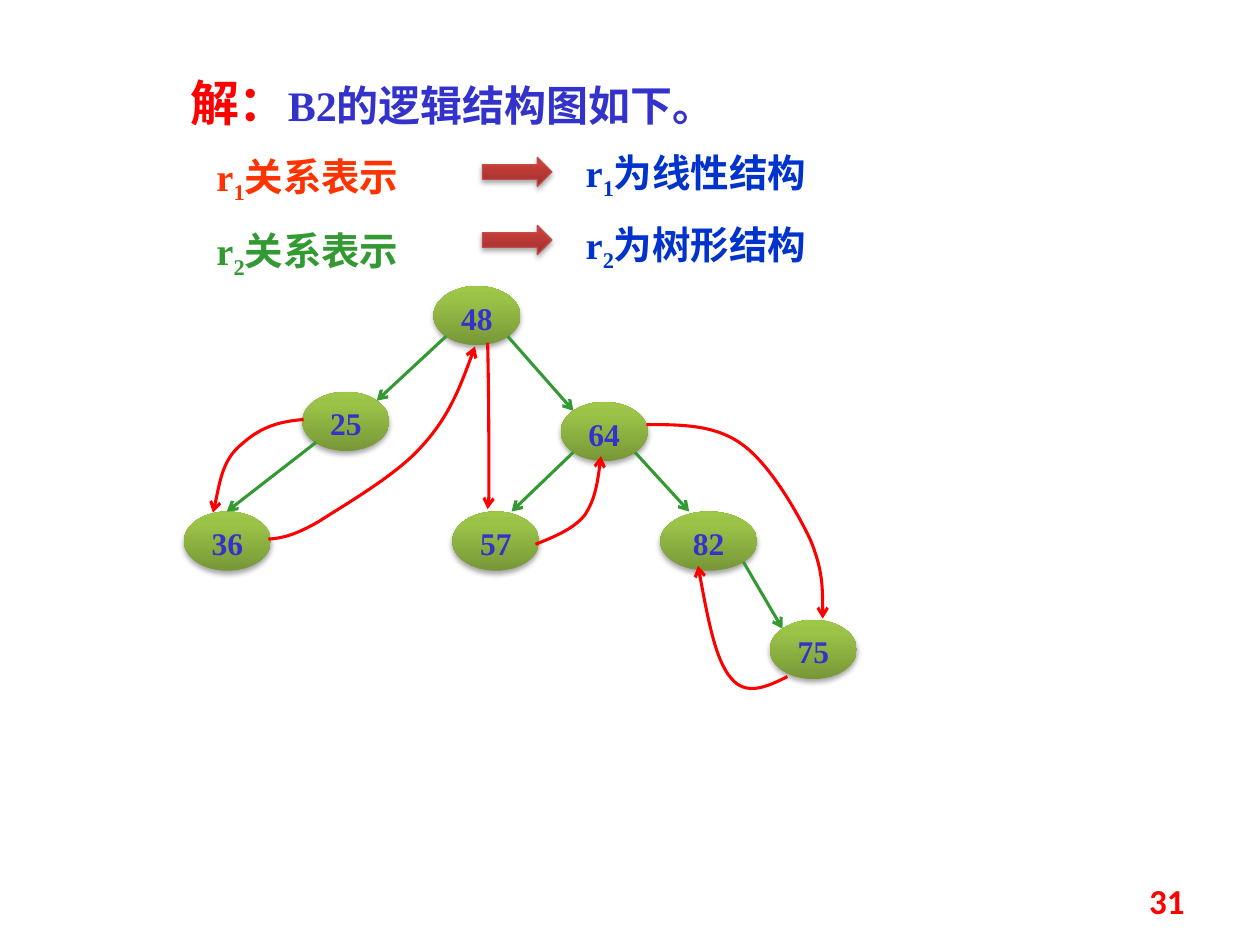
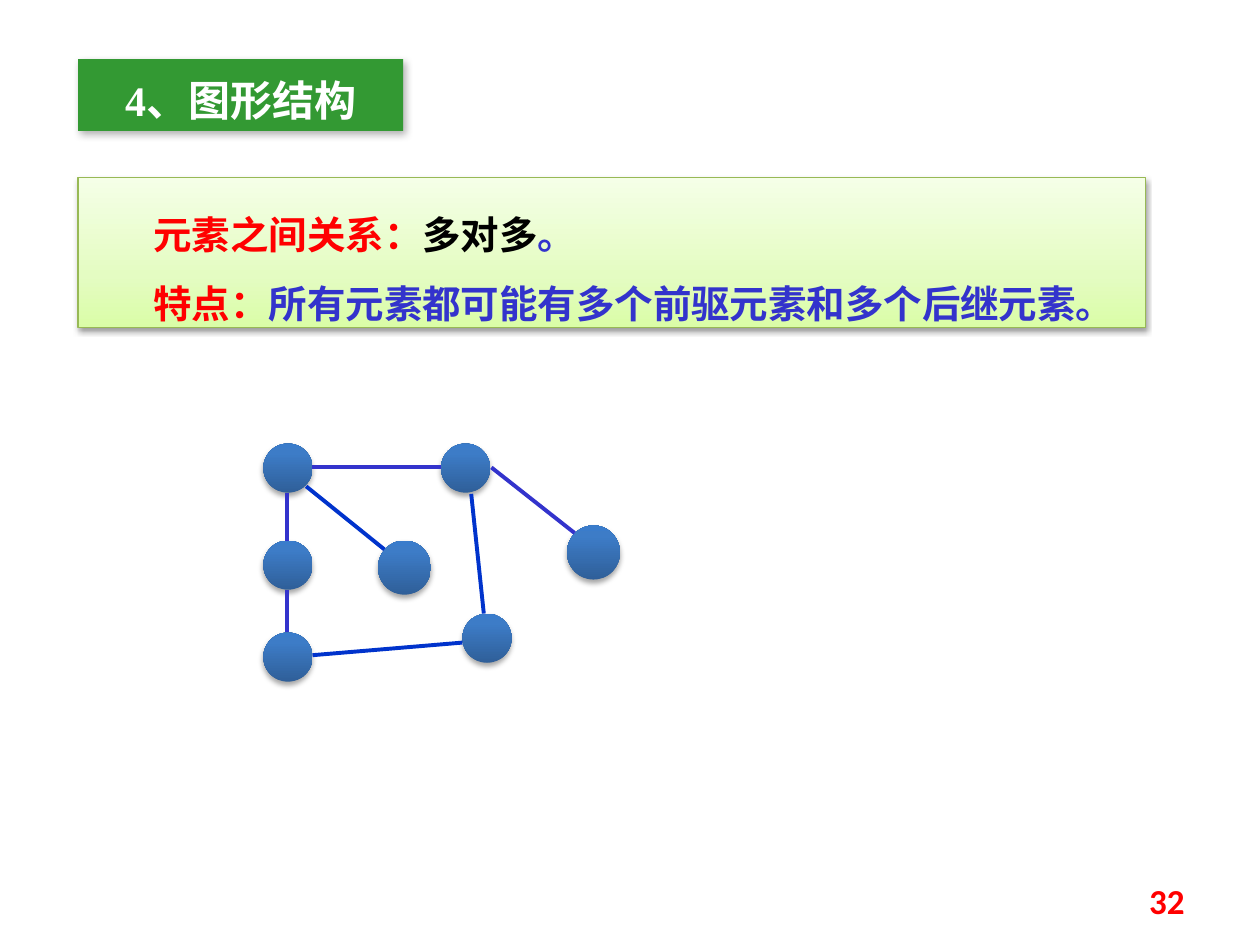
from dataclasses import dataclass
from typing import NamedTuple, Optional

from lxml.etree import SubElement
from pptx import Presentation
from pptx.dml.color import RGBColor
from pptx.enum.shapes import MSO_CONNECTOR, MSO_SHAPE
from pptx.enum.text import MSO_ANCHOR as Anchor, PP_ALIGN as Align
from pptx.oxml.ns import qn
from pptx.util import Inches, Pt

RED = RGBColor(0xFF, 0x00, 0x00)
ORANGE = RGBColor(0xFF, 0x33, 0x00)
GREEN = RGBColor(0x33, 0x99, 0x33)
INDIGO = RGBColor(0x33, 0x33, 0xCC)
BLUE = RGBColor(0x00, 0x33, 0xCC)
BLACK = RGBColor(0x00, 0x00, 0x00)
WHITE = RGBColor(0xFF, 0xFF, 0xFF)
ARROW_BORDER = RGBColor(0xBF, 0x4C, 0x48)
PANEL_BORDER = RGBColor(0x98, 0xB9, 0x55)
SERIF = "Times New Roman"
SANS = "Calibri"

Gradient = tuple[tuple[int, str], ...]
Point = tuple[float, float]
GREEN_GRADIENT: Gradient = ((0, "779737"), (80, "9BC348"), (100, "9DC746"))
RED_GRADIENT: Gradient = ((0, "9C2F2D"), (80, "CB3E3A"), (100, "CE3B37"))
BLUE_GRADIENT: Gradient = ((0, "2F5F99"), (80, "3D7CC7"), (100, "3A7CCB"))
LIME_GRADIENT: Gradient = ((0, "DAFDA7"), (35, "E4FCC2"), (100, "F5FFE7"))


class Box(NamedTuple):
    """Position and size in inches."""
    left: float
    top: float
    width: float
    height: float


class Shadow(NamedTuple):
    """Outer shadow: opacity in percent, lengths in points, angle in degrees."""
    opacity: int
    blur: float
    distance: float
    angle: int


class Edge(NamedTuple):
    """Straight line between two points."""
    start: Point
    end: Point
    color: RGBColor


@dataclass(frozen=True)
class TextRun:
    """Piece of text in one format."""
    text: str
    color: RGBColor
    size: float = 22
    font: str = SERIF
    bold: bool = True
    baseline: int = 0


@dataclass(frozen=True)
class TextStyle:
    """Paragraph and frame settings of a text."""
    align: Align = Align.LEFT
    anchor: Anchor = Anchor.TOP
    spacing: float = 0.8
    indent: float = 0
    insets: Box = Box(0.1, 0.05, 0.1, 0.05)


@dataclass(frozen=True)
class Relation:
    """Row that names a relation and its structure."""
    index: str
    color: RGBColor
    label_top: float
    arrow_top: float
    result_top: float
    result: str


SOFT = Shadow(35, 3.1, 1.8, 90)
PANEL_SHADOW = Shadow(38, 3.1, 1.6, 90)
TITLE_SHADOW = Shadow(30, 4.5, 2.6, 53)
DEFAULT = TextStyle()
LABEL = TextStyle(insets=Box(0.1, 0.08, 0.1, 0))
NODE = TextStyle(Align.CENTER, Anchor.MIDDLE, 1.1, insets=Box(0, 0, 0, 0))
PANEL = TextStyle(Align.JUSTIFY, spacing=1.5, indent=0.5, insets=Box(0.1, 0.08, 0.1, 0))
TITLE = TextStyle(Align.CENTER, spacing=1, insets=Box(0.1, 0.12, 0.1, 0.05))
NUMBER = TextStyle(Align.RIGHT, Anchor.MIDDLE, 1)

RELATIONS = [
    Relation("1", ORANGE, 1.17, 1.25, 1.17, "为线性结构"),
    Relation("2", GREEN, 1.76, 1.79, 1.74, "为树形结构"),
]
TREE_NODES = {
    "48": Box(3.44, 2.27, 0.69, 0.47),
    "25": Box(2.4, 3.11, 0.69, 0.47),
    "36": Box(1.46, 4.06, 0.69, 0.47),
    "64": Box(4.45, 3.19, 0.69, 0.47),
    "57": Box(3.59, 4.06, 0.69, 0.47),
    "82": Box(5.24, 4.06, 0.77, 0.47),
    "75": Box(6.11, 4.92, 0.69, 0.47),
}
TREE_EDGES = [
    Edge((3.54, 2.67), (2.99, 3.18), GREEN),
    Edge((2.51, 3.51), (1.8, 4.06), GREEN),
    Edge((4.03, 2.67), (4.55, 3.26), GREEN),
    Edge((5.04, 3.59), (5.47, 4.06), GREEN),
    Edge((4.55, 3.59), (4.06, 4.06), GREEN),
    Edge((5.9, 4.46), (6.21, 4.99), GREEN),
]
ORDER_CURVES: list[list[Point]] = [
    [(2.41, 3.33), (2.13, 3.35), (2.01, 3.44), (1.88, 3.56),
     (1.76, 3.68), (1.72, 3.96), (1.69, 4.07)],
    [(2.13, 4.28), (2.23, 4.27), (2.32, 4.26), (2.53, 4.14), (2.73, 4.01),
     (3.15, 3.77), (3.35, 3.54), (3.56, 3.31), (3.67, 3.03), (3.77, 2.75)],
    [(3.87, 2.72), (3.88, 3.14), (3.88, 3.56), (3.88, 3.78),
     (3.88, 4), (3.88, 4.02), (3.87, 4.04)],
    [(4.25, 4.32), (4.4, 4.26), (4.55, 4.2), (4.64, 4.09),
     (4.72, 3.97), (4.75, 3.79), (4.77, 3.62)],
    [(6.25, 5.37), (6.09, 5.45), (5.92, 5.53), (5.8, 5.38),
     (5.68, 5.24), (5.61, 4.87), (5.54, 4.49)],
    [(5.13, 3.37), (5.4, 3.37), (5.67, 3.37), (5.88, 3.52), (6.1, 3.67),
     (6.32, 4.05), (6.43, 4.28), (6.53, 4.52), (6.53, 4.72), (6.53, 4.91)],
]
SMALL, LARGE = (0.39, 0.39), (0.42, 0.43)
GRAPH_NODES = [
    Box(2.09, 3.52, *SMALL), Box(3.5, 3.52, *SMALL), Box(2.09, 4.29, *SMALL),
    Box(3, 4.29, *LARGE), Box(3.67, 4.87, *SMALL), Box(2.09, 5.02, *SMALL),
    Box(4.5, 4.17, *LARGE),
]
GRAPH_EDGES = [
    Edge((2.43, 3.86), (3.05, 4.36), BLUE),
    Edge((2.48, 5.2), (3.67, 5.1), BLUE),
    Edge((3.74, 3.92), (3.84, 4.87), BLUE),
    Edge((2.28, 3.91), (2.28, 4.29), INDIGO),
    Edge((2.28, 4.68), (2.28, 5.02), INDIGO),
    Edge((3.9, 3.71), (4.56, 4.23), INDIGO),
    Edge((2.48, 3.71), (3.5, 3.71), INDIGO),
]


def write_text(shape, paragraphs: list[list[TextRun]], style: TextStyle) -> None:
    """Fill a shape with formatted paragraphs."""
    frame = shape.text_frame
    frame.word_wrap = True
    frame.vertical_anchor = style.anchor
    (frame.margin_left, frame.margin_top,
     frame.margin_right, frame.margin_bottom) = map(Inches, style.insets)
    for number, runs in enumerate(paragraphs):
        paragraph = frame.add_paragraph() if number else frame.paragraphs[0]
        paragraph.alignment = style.align
        paragraph.line_spacing = style.spacing
        if style.indent:
            paragraph._p.get_or_add_pPr().set("indent", str(Inches(style.indent)))
        for part in runs:
            run = paragraph.add_run()
            run.text = part.text
            run.font.name = part.font
            run.font.size = Pt(part.size)
            run.font.bold = part.bold
            run.font.color.rgb = part.color
            if part.baseline:
                run.font._element.set("baseline", str(part.baseline * 1000))


def add_text(slide, box: Box, runs: list[TextRun], style: TextStyle = DEFAULT) -> None:
    """Add a text box with one paragraph."""
    write_text(slide.shapes.add_textbox(*map(Inches, box)), [runs], style)


def set_shadow(shape, shadow: Shadow) -> None:
    """Give a shape a black outer shadow."""
    shape.shadow.inherit = False
    effects = shape._element.spPr.find(qn("a:effectLst"))
    outer = SubElement(effects, qn("a:outerShdw"), blurRad=str(Pt(shadow.blur)),
                       dist=str(Pt(shadow.distance)), dir=str(shadow.angle * 60000),
                       rotWithShape="0")
    color = SubElement(outer, qn("a:srgbClr"), val="000000")
    SubElement(color, qn("a:alpha"), val=str(shadow.opacity * 1000))


def set_gradient(shape, gradient: Gradient) -> None:
    """Fill a shape with a gradient that runs from bottom to top."""
    shape.fill.gradient()
    shape.fill.gradient_angle = 90
    stops = shape._element.spPr.find(qn("a:gradFill")).find(qn("a:gsLst"))
    for stop in list(stops):
        stops.remove(stop)
    for position, color in gradient:
        stop = SubElement(stops, qn("a:gs"), pos=str(position * 1000))
        SubElement(stop, qn("a:srgbClr"), val=color)


def add_block(slide, kind: MSO_SHAPE, box: Box, fill: Gradient | RGBColor,
              border: Optional[RGBColor] = None, shadow: Shadow = SOFT):
    """Add a preset shape with fill, border and shadow."""
    shape = slide.shapes.add_shape(kind, *map(Inches, box))
    if isinstance(fill, RGBColor):
        shape.fill.solid()
        shape.fill.fore_color.rgb = fill
    else:
        set_gradient(shape, fill)
    if border is None:
        shape.line.fill.background()
    else:
        shape.line.color.rgb = border
        shape.line.width = Pt(0.75)
    set_shadow(shape, shadow)
    return shape


def style_line(shape, color: RGBColor, width: float, arrow: bool) -> None:
    """Set colour, width and arrowhead of a line."""
    shape.line.color.rgb = color
    shape.line.width = Pt(width)
    if arrow:
        SubElement(shape.line._get_or_add_ln(), qn("a:tailEnd"), type="arrow")


def add_edge(slide, edge: Edge, width: float, arrow: bool) -> None:
    """Add a straight connector."""
    connector = slide.shapes.add_connector(
        MSO_CONNECTOR.STRAIGHT, *map(Inches, edge.start + edge.end))
    style_line(connector, edge.color, width, arrow)
    SubElement(connector._element.spPr, qn("a:effectLst"))


def add_curve(slide, points: list[Point]) -> None:
    """Add a red arrow along cubic curves, three points to each curve."""
    start, *rest = [(Inches(x), Inches(y)) for x, y in points]
    builder = slide.shapes.build_freeform(*start)
    builder.add_line_segments(rest, close=False)
    shape = builder.convert_to_shape()
    shape.fill.background()
    shape.shadow.inherit = False
    style_line(shape, RED, 1.75, True)
    segments = list(shape._element.spPr.iter(qn("a:lnTo")))
    outline = segments[0].getparent()
    for first in range(0, len(segments), 3):
        curve = SubElement(outline, qn("a:cubicBezTo"))
        for segment in segments[first:first + 3]:
            curve.append(segment[0])
            outline.remove(segment)


def add_slide(presentation, number: int):
    """Add a blank slide with its number."""
    slide = presentation.slides.add_slide(presentation.slide_layouts[6])
    add_text(slide, Box(7.17, 6.95, 2.33, 0.4),
             [TextRun(str(number), RED, 20, SANS)], NUMBER)
    return slide


def relation_runs(index: str, text: str, color: RGBColor) -> list[TextRun]:
    """Return the runs of a relation name followed by text."""
    return [TextRun("r", color), TextRun(index, color, baseline=-25), TextRun(text, color)]


def build_tree_slide(presentation) -> None:
    """Build the slide with the solution and its tree."""
    slide = add_slide(presentation, 31)
    for value, box in TREE_NODES.items():
        node = add_block(slide, MSO_SHAPE.OVAL, box, GREEN_GRADIENT)
        write_text(node, [[TextRun(value, INDIGO, 18)]], NODE)
    add_text(slide, Box(1.41, 0.62, 5.31, 0.48),
             [TextRun("解：", RED, 28), TextRun("B2的逻辑结构图如下。", INDIGO, 24)])
    for row in RELATIONS:
        add_text(slide, Box(1.62, row.label_top, 2.13, 0.38),
                 relation_runs(row.index, "关系表示", row.color), LABEL)
        add_block(slide, MSO_SHAPE.RIGHT_ARROW, Box(3.83, row.arrow_top, 0.55, 0.23),
                  RED_GRADIENT, ARROW_BORDER)
        add_text(slide, Box(4.55, row.result_top, 2.58, 0.4),
                 relation_runs(row.index, row.result, BLUE))
    for edge in TREE_EDGES:
        add_edge(slide, edge, 1.75, True)
    for points in ORDER_CURVES:
        add_curve(slide, points)


def build_graph_slide(presentation) -> None:
    """Build the slide about graph structures."""
    slide = add_slide(presentation, 32)
    title = add_block(slide, MSO_SHAPE.RECTANGLE, Box(0.62, 0.47, 2.58, 0.57),
                      GREEN, shadow=TITLE_SHADOW)
    write_text(title, [[TextRun("4、图形结构", WHITE, 24)]], TITLE)
    panel = add_block(slide, MSO_SHAPE.RECTANGLE, Box(0.62, 1.41, 8.47, 1.19),
                      LIME_GRADIENT, PANEL_BORDER, PANEL_SHADOW)
    write_text(panel, [
        [TextRun("元素之间关系：", RED), TextRun("多对多", BLACK), TextRun("。", INDIGO)],
        [TextRun("特点：", RED),
         TextRun("所有元素都可能有多个前驱元素和多个后继元素。", INDIGO)],
    ], PANEL)
    for box in GRAPH_NODES:
        add_block(slide, MSO_SHAPE.OVAL, box, BLUE_GRADIENT)
    for edge in GRAPH_EDGES:
        add_edge(slide, edge, 2.25, False)


def main() -> None:
    """Build and save the presentation."""
    presentation = Presentation()
    presentation.slide_width, presentation.slide_height = Inches(10), Inches(7.5)
    build_tree_slide(presentation)
    build_graph_slide(presentation)
    presentation.save("out.pptx")


if __name__ == "__main__":
    main()
